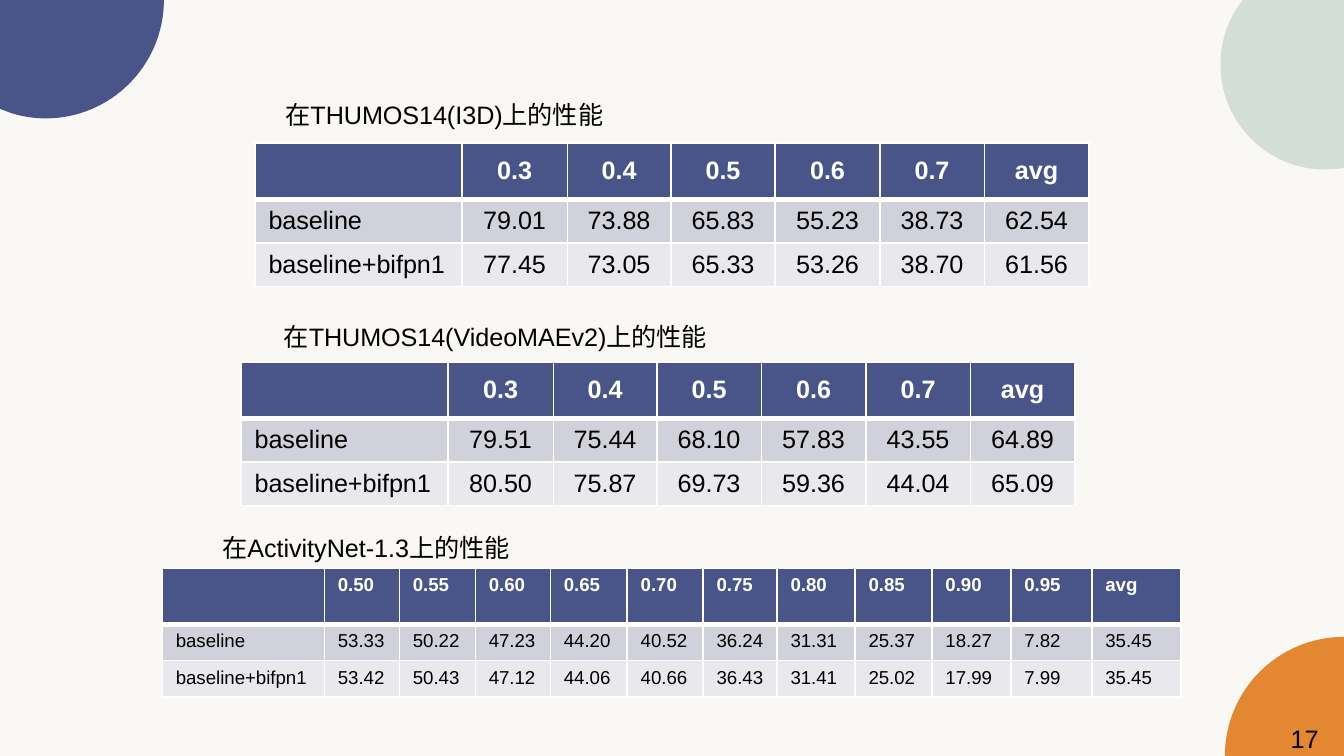
from lxml.etree import SubElement
from pptx import Presentation
from pptx.dml.color import RGBColor
from pptx.enum.text import MSO_ANCHOR as Anchor, MSO_AUTO_SIZE as AutoSize, PP_ALIGN as Align
from pptx.oxml.ns import qn
from pptx.util import Pt

NAVY = RGBColor(0x49, 0x55, 0x89)
ORANGE = RGBColor(0xE3, 0x87, 0x30)
SAGE = RGBColor(0xD3, 0xDE, 0xD8)
CREAM = RGBColor(0xFA, 0xF8, 0xF4)
GREY = RGBColor(0xD0, 0xD1, 0xDA)
PALE = RGBColor(0xE9, 0xE9, 0xED)
WHITE = RGBColor(0xFF, 0xFF, 0xFF)
BLACK = RGBColor(0, 0, 0)

WIDTH, HEIGHT = 720, 405
BODY_SIZE, SMALL_SIZE = 13.5, 10
HEADER_BORDERS = {"a:lnL": 1, "a:lnR": 1, "a:lnT": 1, "a:lnB": 3}

NAVY_DISC = [
    [(0, 0)],
    [(87.8, 0)],
    [(87.8, 35), (59.4, 63.4), (24.5, 63.4)],
    [(18, 63.4), (11.7, 62.4), (5.8, 60.5)],
    [(0, 58.3)],
]
ORANGE_DISC = [
    [(WIDTH, 341.2)],
    [(684.6, 341.2), (656.2, 369.8), (656.2, HEIGHT)],
    [(WIDTH, HEIGHT)],
]
SAGE_DISC = [
    [(666, 0)],
    [(WIDTH, 0)],
    [(WIDTH, 90)],
    [(715.7, 90.5)],
    [(713.8, 90.7), (711.9, 90.8), (709.9, 90.8)],
    [(678.9, 90.8), (653.8, 65.7), (653.8, 34.6)],
    [(653.8, 23), (657.3, 12.2), (663.4, 3.1)],
]

THUMOS_HEADER = ["", "0.3", "0.4", "0.5", "0.6", "0.7", "avg"]
THUMOS_WIDTHS = [110.7, 56.6, 55.4] + [56] * 4
I3D_ROWS = [
    THUMOS_HEADER,
    ["baseline", "79.01", "73.88", "65.83", "55.23", "38.73", "62.54"],
    ["baseline+bifpn1", "77.45", "73.05", "65.33", "53.26", "38.70", "61.56"],
]
VIDEO_ROWS = [
    THUMOS_HEADER,
    ["baseline", "79.51", "75.44", "68.10", "57.83", "43.55", "64.89"],
    ["baseline+bifpn1", "80.50", "75.87", "69.73", "59.36", "44.04", "65.09"],
]
ACTIVITY_WIDTHS = [86.8, 40.2, 40.7, 40.2, 41.2, 40.7, 39.6, 41.8, 41.2, 42.3, 43.4, 47.7]
ACTIVITY_ROWS = [
    ["", "0.50", "0.55", "0.60", "0.65", "0.70", "0.75", "0.80", "0.85", "0.90", "0.95", "avg"],
    ["baseline", "53.33", "50.22", "47.23", "44.20", "40.52", "36.24", "31.31", "25.37",
     "18.27", "7.82", "35.45"],
    ["baseline+bifpn1", "53.42", "50.43", "47.12", "44.06", "40.66", "36.43", "31.41", "25.02",
     "17.99", "7.99", "35.45"],
]


def style_text(para, size, color, bold=False):
    for span in para.runs:
        span.font.name = "Arial"
        span.font.size = Pt(size)
        span.font.bold = bold
        span.font.color.rgb = color


def add_corner_disc(page, steps, color):
    points = [(Pt(x), Pt(y)) for step in steps for x, y in step]
    builder = page.shapes.build_freeform(*points[0])
    builder.add_line_segments(points[1:], close=True)
    disc = builder.convert_to_shape()
    lines = iter(list(disc.element.iter(qn("a:lnTo"))))
    for step in steps[1:]:
        segments = [next(lines) for _ in step]
        if len(step) == 3:
            segments[0].tag = qn("a:cubicBezTo")
            for segment in segments[1:]:
                segments[0].append(segment[0])
                segment.getparent().remove(segment)
    disc.shadow.inherit = False
    disc.fill.solid()
    disc.fill.fore_color.rgb = color
    disc.line.fill.background()


def add_label(page, left, top, width, text):
    box = page.shapes.add_textbox(Pt(left), Pt(top), Pt(width), Pt(23.5))
    frame = box.text_frame
    frame.word_wrap = True
    frame.auto_size = AutoSize.SHAPE_TO_FIT_TEXT
    frame.text = text
    style_text(frame.paragraphs[0], BODY_SIZE, BLACK)


def add_header_borders(cell):
    properties = cell._tc.get_or_add_tcPr()
    for tag, width in HEADER_BORDERS.items():
        border = SubElement(properties, qn(tag), w=str(Pt(width)))
        fill = SubElement(border, qn("a:solidFill"))
        SubElement(fill, qn("a:srgbClr"), val=str(WHITE))


def add_results(page, left, top, widths, heights, rows, size, centered):
    table = page.shapes.add_table(
        len(rows), len(widths), Pt(left), Pt(top), Pt(sum(widths)), Pt(sum(heights))
    ).table
    for column, width in zip(table.columns, widths):
        column.width = Pt(width)
    for row_index, (values, height, fill) in enumerate(zip(rows, heights, (NAVY, GREY, PALE))):
        table.rows[row_index].height = Pt(height)
        header = row_index == 0
        for column_index, value in enumerate(values):
            cell = table.cell(row_index, column_index)
            if header:
                add_header_borders(cell)
            cell.fill.solid()
            cell.fill.fore_color.rgb = fill
            if not value:
                continue
            cell.text_frame.text = value
            para = cell.text_frame.paragraphs[0]
            style_text(para, size, WHITE if header else BLACK, header)
            if centered:
                cell.vertical_anchor = Anchor.MIDDLE
                if column_index > 0:
                    para.alignment = Align.CENTER


def build_results_page(page):
    page.background.fill.solid()
    page.background.fill.fore_color.rgb = CREAM

    add_corner_disc(page, NAVY_DISC, NAVY)
    add_corner_disc(page, ORANGE_DISC, ORANGE)
    add_corner_disc(page, SAGE_DISC, SAGE)
    add_label(page, 684.3, 384, 32.4, "17")

    thumos_heights = [30, 23.4, 23.4]
    add_results(page, 136.7, 76.7, THUMOS_WIDTHS, thumos_heights, I3D_ROWS, BODY_SIZE, True)
    add_label(page, 145.8, 49.7, 240, "在THUMOS14(I3D)上的性能")
    add_label(page, 112, 281.5, 240, "在ActivityNet-1.3上的性能")
    add_results(page, 87, 304.5, ACTIVITY_WIDTHS, [30, 19.5, 19.5], ACTIVITY_ROWS,
                SMALL_SIZE, False)
    add_results(page, 129.2, 194, THUMOS_WIDTHS, thumos_heights, VIDEO_ROWS, BODY_SIZE, True)
    add_label(page, 144.9, 168.5, 343, "在THUMOS14(VideoMAEv2)上的性能")


def main():
    deck = Presentation()
    deck.slide_width = Pt(WIDTH)
    deck.slide_height = Pt(HEIGHT)
    build_results_page(deck.slides.add_slide(deck.slide_layouts[6]))
    deck.save("out.pptx")


if __name__ == "__main__":
    main()
